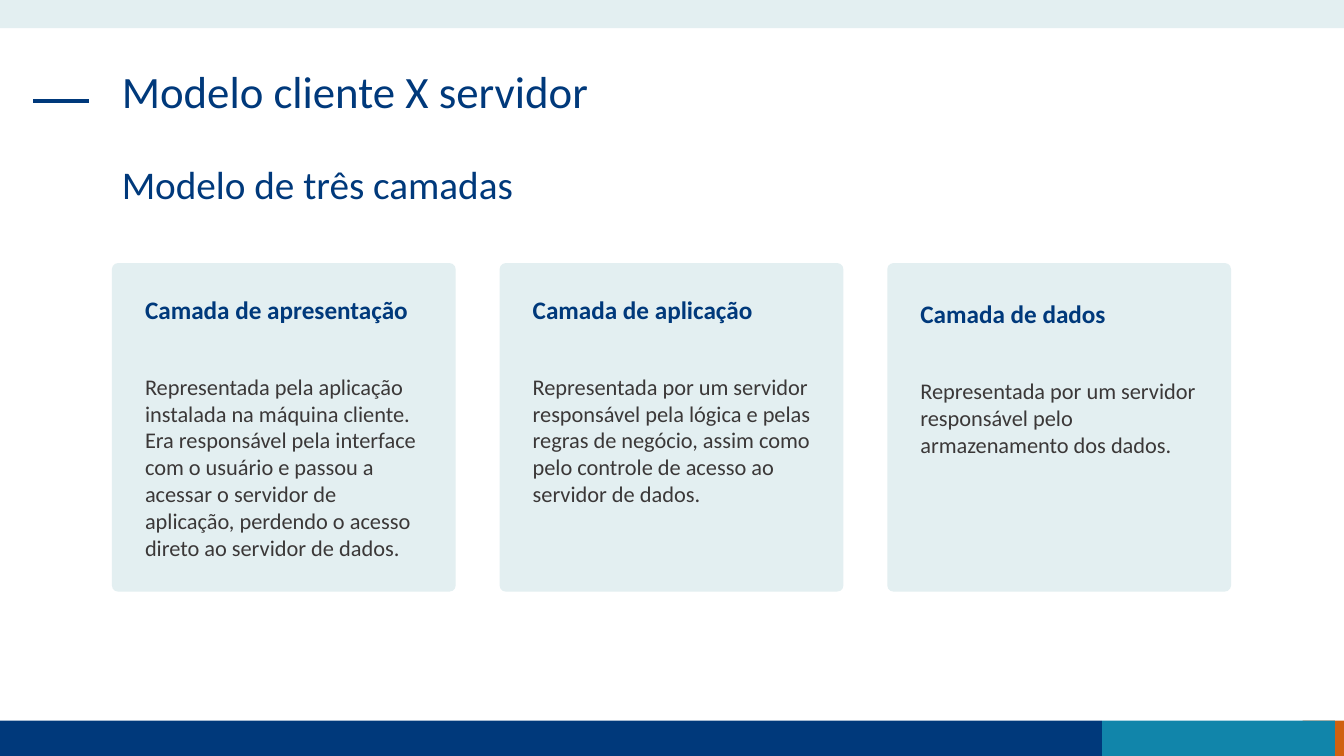
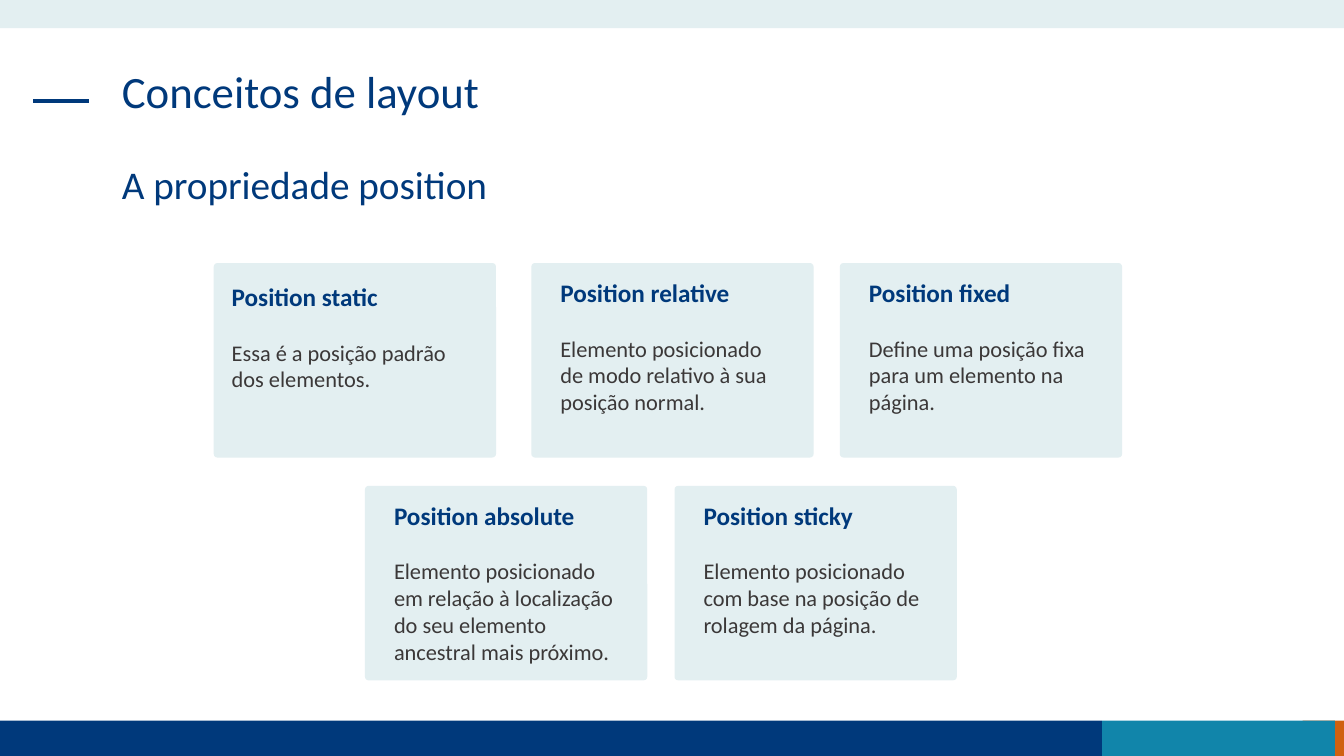
"""Builds two slides of text cards under a shared title, header band and footer."""
from lxml import etree
from pptx import Presentation
from pptx.dml.color import RGBColor
from pptx.enum import shapes, text
from pptx.oxml import ns
from pptx.util import Inches, Pt

NAVY = RGBColor(0x00, 0x39, 0x7B)
TEAL = RGBColor(0x11, 0x85, 0xAA)
ORANGE = RGBColor(0xD0, 0x61, 0x10)
PALE = RGBColor(0xE3, 0xEF, 0xF1)
GRAY = RGBColor(0x3B, 0x38, 0x38)
FONT = "Calibri"
SLIDE_WIDTH, SLIDE_HEIGHT = 13.33, 7.5
MARGIN, CONTENT_WIDTH, CARDS_TOP = 1.11, 11.1, 2.61
FOOTER_TOP = 7.15
FOOTER_HEIGHT = SLIDE_HEIGHT - FOOTER_TOP
BANDS = [
    (12.92, FOOTER_TOP, 0.41, FOOTER_HEIGHT, ORANGE),
    (0, FOOTER_TOP, 10.93, FOOTER_HEIGHT, NAVY),
    (10.93, FOOTER_TOP, 2.31, FOOTER_HEIGHT, TEAL),
    (0, 0, SLIDE_WIDTH, 0.28, PALE),
]
HEADING = {"size": 18, "color": NAVY, "bold": True}
BODY = {"size": 16, "color": GRAY}

LAYERS = [
    ("Camada de apresentação", 0.26, 1.04, 1.99,
     "Representada pela aplicação instalada na máquina cliente. Era responsável pela interface "
     "com o usuário e passou a acessar o servidor de aplicação, perdendo o acesso direto ao "
     "servidor de dados."),
    ("Camada de aplicação", 0.26, 1.04, 1.45,
     "Representada por um servidor responsável pela lógica e pelas regras de negócio, assim como "
     "pelo controle de acesso ao servidor de dados."),
    ("Camada de dados", 0.3, 1.08, 0.91,
     "Representada por um servidor responsável pelo armazenamento dos dados."),
]
POSITIONS = [
    (2.12, 0, 0.08, 0.13, "Position static", "Essa é a posição padrão dos elementos."),
    (5.27, 0, 0.19, 0.09, "Position relative",
     "Elemento posicionado de modo relativo à sua posição normal."),
    (8.33, 0, 0.19, 0.09, "Position fixed",
     "Define uma posição fixa para um elemento na página."),
    (3.62, 1, 0.19, 0.09, "Position absolute",
     "Elemento posicionado em relação à localização do seu elemento ancestral mais próximo."),
    (6.69, 1, 0.19, 0.09, "Position sticky",
     "Elemento posicionado com base na posição de rolagem da página."),
]


def write(paragraph, content, *, size, color, bold=False, line_spacing=None, space_before=None):
    """Write one formatted run in a paragraph."""
    run = paragraph.add_run()
    run.text = content
    run.font.name = FONT
    run.font.size = Pt(size)
    run.font.bold = bold
    run.font.color.rgb = color
    if line_spacing:
        paragraph.line_spacing = line_spacing
    if space_before:
        paragraph.space_before = Pt(space_before)


def add_text(slide, left, top, width, height, *items):
    """Add a wrapping text box with one paragraph per (text, format) item."""
    box = slide.shapes.add_textbox(Inches(left), Inches(top), Inches(width), Inches(height))
    frame = box.text_frame
    frame.word_wrap = True
    frame.vertical_anchor = text.MSO_ANCHOR.TOP
    for index, (content, style) in enumerate(items):
        paragraph = frame.add_paragraph() if index else frame.paragraphs[0]
        write(paragraph, content, **style)


def add_block(slide, left, top, width, height, color, kind=shapes.MSO_SHAPE.RECTANGLE):
    """Add a flat filled shape without outline."""
    shape = slide.shapes.add_shape(kind, Inches(left), Inches(top), Inches(width), Inches(height))
    shape.shadow.inherit = False
    shape.fill.solid()
    shape.fill.fore_color.rgb = color
    shape.line.fill.background()
    return shape


def add_card(slide, left, top, width, height):
    """Add a pale card with slightly rounded corners."""
    card = add_block(slide, left, top, width, height, PALE, shapes.MSO_SHAPE.ROUNDED_RECTANGLE)
    card.adjustments[0] = 0.019


def add_titled_slide(presentation, title, subtitle):
    """Add a slide with the shared bands, title dash, title and subtitle."""
    slide = presentation.slides.add_slide(presentation.slide_layouts[6])
    for band in BANDS:
        add_block(slide, *band)
    dash = slide.shapes.add_connector(
        shapes.MSO_CONNECTOR.STRAIGHT, Inches(0.33), Inches(1), Inches(0.88), Inches(1))
    dash.line.color.rgb = NAVY
    dash.line.width = Pt(3)
    etree.SubElement(dash.element.spPr, ns.qn("a:effectLst"))
    for content, top, size in ((title, 0.64, 32), (subtitle, 1.59, 28)):
        style = {"size": size, "color": NAVY, "line_spacing": 0.9}
        add_text(slide, MARGIN, top, CONTENT_WIDTH, 0.94, (content, style))
    return slide


def build_layers(presentation):
    """Build the slide with three equal columns."""
    slide = add_titled_slide(presentation, "Modelo cliente X servidor", "Modelo de três camadas")
    width = 3.41
    step = (CONTENT_WIDTH - width) / (len(LAYERS) - 1)
    for index, (heading, heading_top, body_top, body_height, body) in enumerate(LAYERS):
        left = MARGIN + index * step
        add_card(slide, left, CARDS_TOP, width, 3.26)
        add_text(slide, left + 0.23, CARDS_TOP + heading_top, 2.96, 0.4, (heading, HEADING))
        add_text(slide, left + 0.23, CARDS_TOP + body_top, 2.96, body_height, (body, BODY))


def build_positions(presentation):
    """Build the slide with two rows of cards."""
    slide = add_titled_slide(presentation, "Conceitos de layout", "A propriedade position")
    for left, row, inset_left, inset_top, heading, body in POSITIONS:
        top = CARDS_TOP + row * 2.21
        add_card(slide, left, top, 2.8, 1.93)
        add_text(slide, left + inset_left, top + inset_top, 2.43, 1.75,
                 (heading, HEADING), (body, {**BODY, "space_before": 19.5}))


def main():
    """Build and save the presentation."""
    presentation = Presentation()
    presentation.slide_width = Inches(SLIDE_WIDTH)
    presentation.slide_height = Inches(SLIDE_HEIGHT)
    build_layers(presentation)
    build_positions(presentation)
    presentation.save("out.pptx")


if __name__ == "__main__":
    main()
